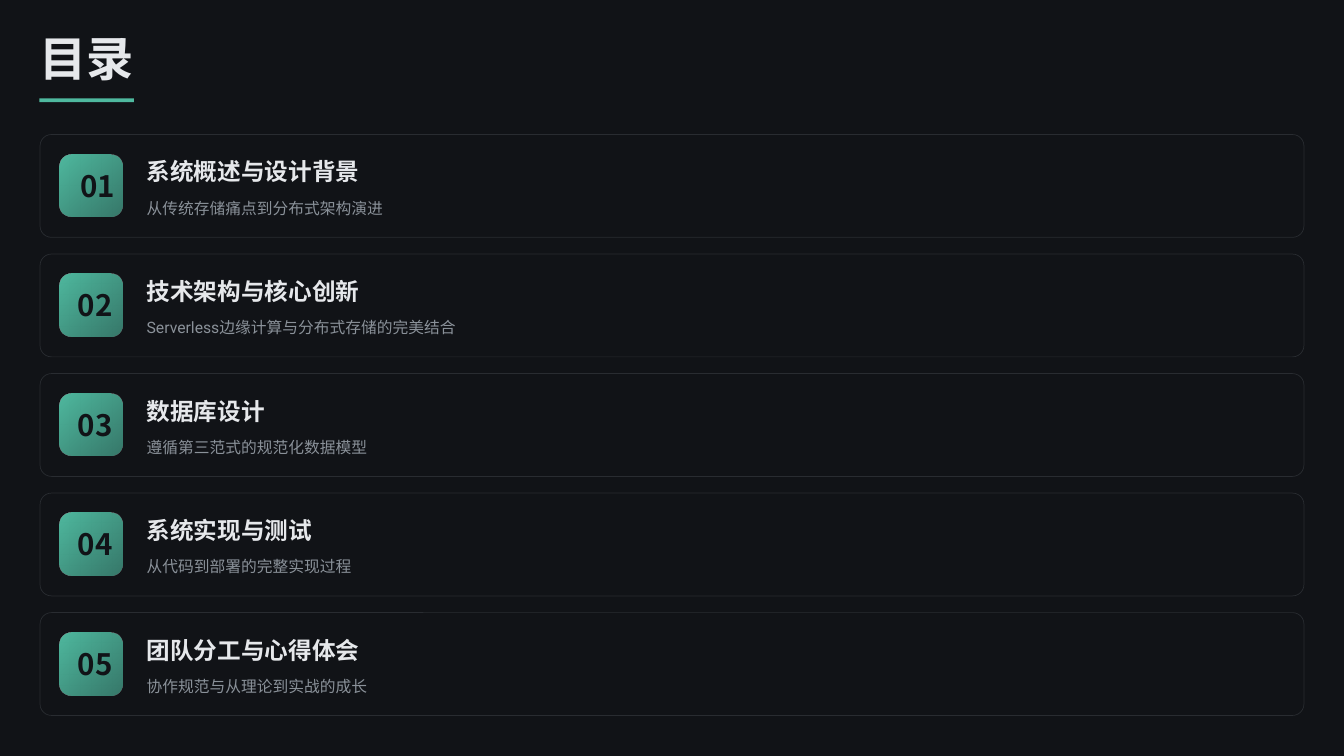
from lxml import etree
from pptx import Presentation
from pptx import util as u
from pptx.dml import color
from pptx.enum import shapes, text
from pptx.oxml import ns

SANS = "Noto Sans CJK SC"
BODY = "Roboto"
DARK, LIGHT, GRAY, TEAL = "111317", "E6E8EB", "8A9199", "4FB99F"

ITEMS = [
    ("系统概述与设计背景", "从传统存储痛点到分布式架构演进"),
    ("技术架构与核心创新", "Serverless边缘计算与分布式存储的完美结合"),
    ("数据库设计", "遵循第三范式的规范化数据模型"),
    ("系统实现与测试", "从代码到部署的完整实现过程"),
    ("团队分工与心得体会", "协作规范与从理论到实战的成长"),
]


def rgb(code):
    return color.RGBColor.from_string(code)


def fade(node, amount):
    tone = node.find(".//" + ns.qn("a:srgbClr"))
    etree.SubElement(tone, ns.qn("a:alpha"), val=str(amount * 1000))


def write(frame, words, size, tint, font=SANS, bold=False, space=1.0):
    frame.margin_left = frame.margin_right = 0
    frame.margin_top = frame.margin_bottom = 0
    frame.auto_size = text.MSO_AUTO_SIZE.NONE
    frame.word_wrap = True
    frame.vertical_anchor = text.MSO_ANCHOR.MIDDLE
    para = frame.paragraphs[0]
    para.alignment = text.PP_ALIGN.LEFT
    para.line_spacing = space
    run = para.add_run()
    run.text = words
    run.font.size = u.Pt(size)
    run.font.bold = bold
    run.font.color.rgb = rgb(tint)
    run.font.name = font
    props = run.font._element
    etree.SubElement(props, ns.qn("a:ea"), typeface=SANS)


class Deck:
    def __init__(self):
        self.show = Presentation()
        self.show.slide_width = u.Inches(17.78)
        self.show.slide_height = u.Inches(10)
        self.slide = self.show.slides.add_slide(self.show.slide_layouts[5])
        self.slide.background.fill.solid()
        self.slide.background.fill.fore_color.rgb = rgb(DARK)

    def title(self, words, left, top, width, height):
        head = self.slide.shapes.title
        head.left, head.top = u.Inches(left), u.Inches(top)
        head.width, head.height = u.Inches(width), u.Inches(height)
        write(head.text_frame, words, 45, LIGHT, bold=True, space=0.8)

    def label(self, words, left, top, width, height, **style):
        box = self.slide.shapes.add_textbox(*map(u.Inches, (left, top, width, height)))
        write(box.text_frame, words, **style)

    def block(self, left, top, width, height, radius=0):
        kind = shapes.MSO_SHAPE.ROUNDED_RECTANGLE if radius else shapes.MSO_SHAPE.RECTANGLE
        item = self.slide.shapes.add_shape(kind, *map(u.Inches, (left, top, width, height)))
        item.shadow.inherit = False
        if radius:
            item.adjustments[0] = radius / height
        return item

    def bar(self, *place):
        item = self.block(*place)
        item.fill.solid()
        item.fill.fore_color.rgb = rgb(TEAL)
        item.line.fill.background()

    def card(self, *place):
        item = self.block(*place, radius=0.15)
        item.fill.background()
        item.line.width = u.Pt(0.67)
        item.line.color.rgb = rgb(GRAY)
        fade(item.line._ln, 20)

    def badge(self, *place):
        item = self.block(*place, radius=0.16)
        item.line.fill.background()
        item.fill.gradient()
        item.fill.gradient_angle = 315
        stops = item.fill.gradient_stops
        for stop, point in zip(stops, (0, 1)):
            stop.color.rgb = rgb(TEAL)
            stop.position = point
        fade(item._element.findall(".//" + ns.qn("a:gs"))[1], 60)


def main():
    deck = Deck()
    deck.title("目录", 0.52, 0.52, 17.05, 0.63)
    deck.bar(0.52, 1.3, 1.25, 0.05)
    for row, (name, note) in enumerate(ITEMS):
        top = 1.78 + row * 1.581
        inner = top + 0.26
        deck.card(0.53, top, 16.72, 1.36)
        deck.badge(0.79, inner, 0.83, 0.83)
        left = 1.03 if row else 1.06
        deck.label(f"{row + 1:02}", left, inner + 0.18, 0.55, 0.47,
                   size=28.1, tint=DARK, bold=True)
        deck.label(name, 1.94, inner, 15.2, 0.42,
                   size=22.5, tint=LIGHT, bold=True, space=1.1)
        deck.label(note, 1.94, inner + 0.52, 15.14, 0.31,
                   size=15, tint=GRAY, font=BODY, space=1.3)
    deck.show.save("out.pptx")


if __name__ == "__main__":
    main()
